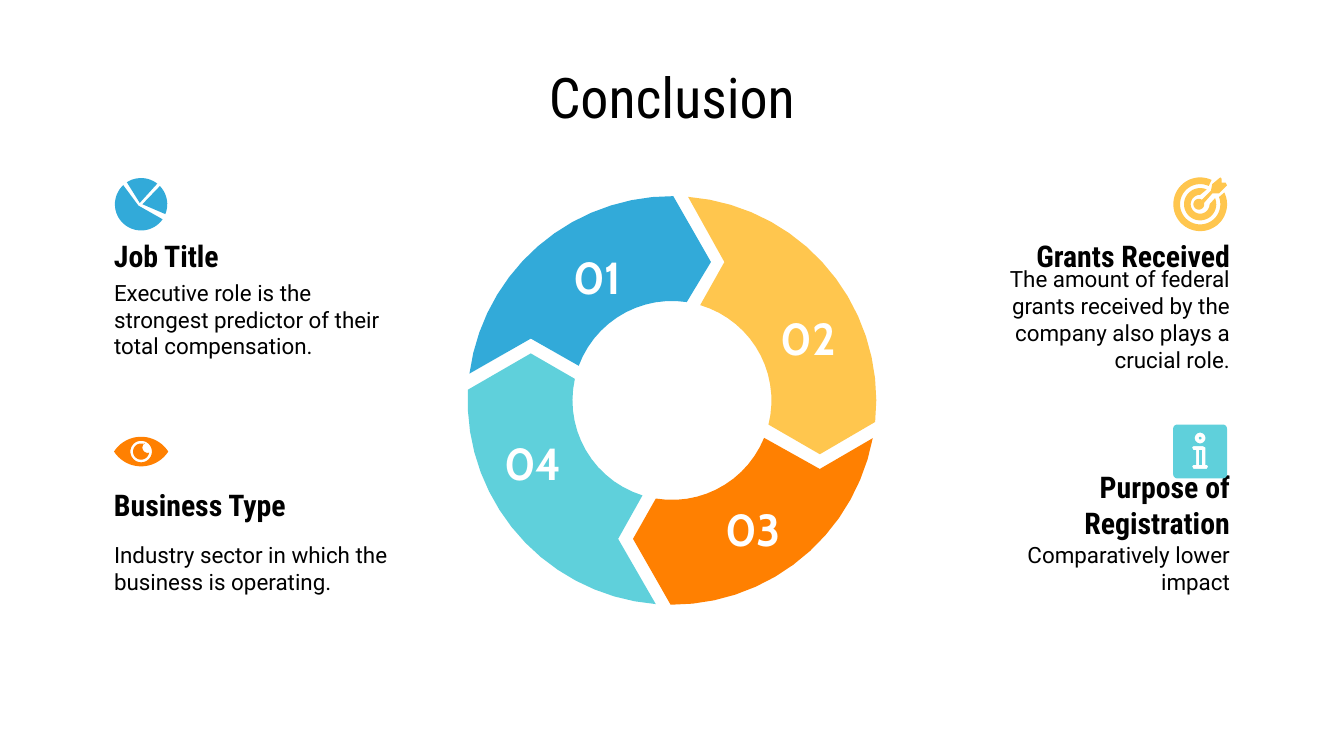
from dataclasses import dataclass
from math import atan2, cos, degrees, radians, sin

from pptx import Presentation
from pptx.dml.color import RGBColor
from pptx.enum.text import MSO_ANCHOR, PP_ALIGN as Align
from pptx.util import Emu, Pt

PX = 9144
SLIDE_WIDTH = 1000 * PX
SLIDE_HEIGHT = SLIDE_WIDTH * 9 // 16
RING_CENTER = (500, 298)
OUTER, INNER = 152, 74


@dataclass(frozen=True)
class Theme:
    """Colours, fonts and type sizes of the slide."""
    blue: str = "32AAD9"
    yellow: str = "FFC64E"
    orange: str = "FF8001"
    teal: str = "5FD0DB"
    black: str = "000000"
    white: str = "FFFFFF"
    head_font: str = "Roboto Condensed"
    body_font: str = "Roboto"
    number_font: str = "Cabin"
    title_size: int = 30
    number_size: int = 24
    head_size: int = 16
    body_size: int = 12


THEME = Theme()


def add_text(slide, text, box, *, font, size, color=THEME.black, bold=False, align=Align.LEFT):
    """Add a vertically centred text box."""
    shape = slide.shapes.add_textbox(*(Emu(value * PX) for value in box))
    frame = shape.text_frame
    frame.word_wrap = True
    frame.vertical_anchor = MSO_ANCHOR.MIDDLE
    frame.margin_left = frame.margin_right = Emu(10 * PX)
    frame.margin_top = frame.margin_bottom = Emu(10 * PX)
    paragraph = frame.paragraphs[0]
    paragraph.alignment = align
    run = paragraph.add_run()
    run.text = text
    run.font.name, run.font.size, run.font.bold = font, Pt(size), bold
    run.font.color.rgb = RGBColor.from_string(color)


def arc(center, radius, start, end):
    """Return points along a circle between two angles in degrees."""
    steps = max(2, round(abs(end - start) / 6))
    angles = [radians(start + (end - start) * step / steps) for step in range(steps + 1)]
    return [(center[0] + radius * cos(angle), center[1] + radius * sin(angle)) for angle in angles]


def circle(center, radius):
    """Return the points of a full circle."""
    return arc(center, radius, 0, 360)


def add_outline(slide, color, *contours):
    """Add one filled freeform made of closed contours."""
    scaled = [[(x * PX, y * PX) for x, y in contour] for contour in contours]
    builder = slide.shapes.build_freeform(*scaled[0][0], scale=1.0)
    for index, contour in enumerate(scaled):
        if index:
            builder.move_to(*contour[0])
        builder.add_line_segments(contour[1:], close=True)
    shape = builder.convert_to_shape()
    shape.shadow.inherit = False
    shape.fill.solid()
    shape.fill.fore_color.rgb = RGBColor.from_string(color)
    shape.line.fill.background()


def ring_arc(radius, start, end):
    """Return the shorter ring arc between the directions of two points."""
    first, last = (degrees(atan2(y - RING_CENTER[1], x - RING_CENTER[0])) for x, y in (start, end))
    return arc(RING_CENTER, radius, first, first + (last - first + 180) % 360 - 180)


def add_segment(slide, color, outer_start, notch, inner_start, inner_end, tip, outer_end):
    """Add one arrow-shaped segment of the ring."""
    add_outline(slide, color, [
        notch, *ring_arc(INNER, inner_start, inner_end),
        tip, *ring_arc(OUTER, outer_end, outer_start)])


def add_target_icon(slide, color):
    """Add the target with its dart."""
    center, heart = (893, 152), (892, 152)
    add_outline(slide, color, [
        (908, 132), (902, 137), (901, 142), *arc(heart, 4, 304, -14),
        (902, 144), (907, 144), (913, 138), (912, 136), (909, 136), (909, 133)])
    for outer, inner, outer_span, inner_span in (
            (12, 7, (-22, 294), (270, 0)), (20, 15, (-26, 295), (295, -21))):
        add_outline(slide, color, arc(center, outer, *outer_span) + arc(center, inner, *inner_span))


def add_eye_icon(slide, color):
    """Add the eye and its pupil."""
    lens = arc((105, 349), 24, -147, -33) + arc((105, 323), 24, 33, 147)
    add_outline(slide, color, lens, circle((105, 336), 8))
    add_outline(slide, color, arc((105, 336), 6, 8, 292) + arc((110, 333), 4, 236, 90))


def add_info_icon(slide, color):
    """Add the information tile."""
    corners = (((910, 319), -90), ((910, 353), 0), ((876, 353), 90), ((876, 319), 180))
    tile = [point for center, start in corners for point in arc(center, 3, start, start + 90)]
    letter = [
        (888, 332), (895, 332), (897, 333), (897, 346), (898, 346), (899, 347), (898, 349),
        (888, 349), (887, 347), (888, 346), (890, 346), (890, 335), (888, 335), (887, 333)]
    add_outline(slide, color, circle((893, 326), 1))
    add_outline(slide, color, [(892, 335), (892, 346), (894, 346), (894, 335)])
    add_outline(slide, color, tile, circle((893, 326), 4), letter)


def add_pie_icon(slide, color):
    """Add the pie with three wedges."""
    for apex, start, end in (((103, 153), 227, 35), ((104, 151), -123, -52), ((106, 152), -44, 22)):
        add_outline(slide, color, [apex, *arc((105, 152), 19.5, start, end)])


def add_topic(slide, top, head, body, *, right=False):
    """Add a heading with its description."""
    align = Align.RIGHT if right else Align.LEFT
    head_left, body_left, body_width = (711, 707, 218) if right else (75, 75, 229)
    add_text(slide, head, (head_left, top, 214, 31), font=THEME.head_font,
             size=THEME.head_size, bold=True, align=align)
    add_text(slide, body, (body_left, top + 31, body_width, 63), font=THEME.body_font,
             size=THEME.body_size, align=align)


def main():
    """Build and save the slide."""
    presentation = Presentation()
    presentation.slide_width, presentation.slide_height = Emu(SLIDE_WIDTH), Emu(SLIDE_HEIGHT)
    slide = presentation.slides.add_slide(presentation.slide_layouts[6])
    add_text(slide, "Conclusion", (50, 45, 900, 53), font=THEME.head_font,
             size=THEME.title_size, align=Align.CENTER)

    for color, *points in (
            (THEME.yellow, (512, 146), (539, 195), (521, 227), (572, 316), (610, 338), (651, 314)),
            (THEME.orange, (649, 326), (610, 349), (569, 326), (488, 371), (471, 401), (499, 450)),
            (THEME.teal, (488, 449), (460, 401), (478, 369), (428, 282), (395, 263), (348, 290)),
            (THEME.blue, (349, 278), (395, 252), (430, 272), (511, 225), (529, 195), (501, 146))):
        add_segment(slide, color, *points)
    for number, left, top in (("01", 411, 190), ("02", 568, 236), ("03", 527, 378), ("04", 363, 329)):
        add_text(slide, number, (left, top, 67, 31), font=THEME.number_font,
                 size=THEME.number_size, color=THEME.white, bold=True, align=Align.CENTER)

    add_topic(slide, 175, "Job Title",
              "Executive role is the strongest predictor of their total compensation.")
    add_topic(slide, 360, "Business Type", "Industry sector in which the business is operating.")
    add_topic(slide, 175, "Grants Received",
              "The amount of federal grants received by the company also plays a crucial role.", right=True)
    add_topic(slide, 360, "Purpose of Registration", "Comparatively lower impact", right=True)

    add_target_icon(slide, THEME.yellow)
    add_eye_icon(slide, THEME.orange)
    add_info_icon(slide, THEME.teal)
    add_pie_icon(slide, THEME.blue)
    presentation.save("out.pptx")


if __name__ == "__main__":
    main()
